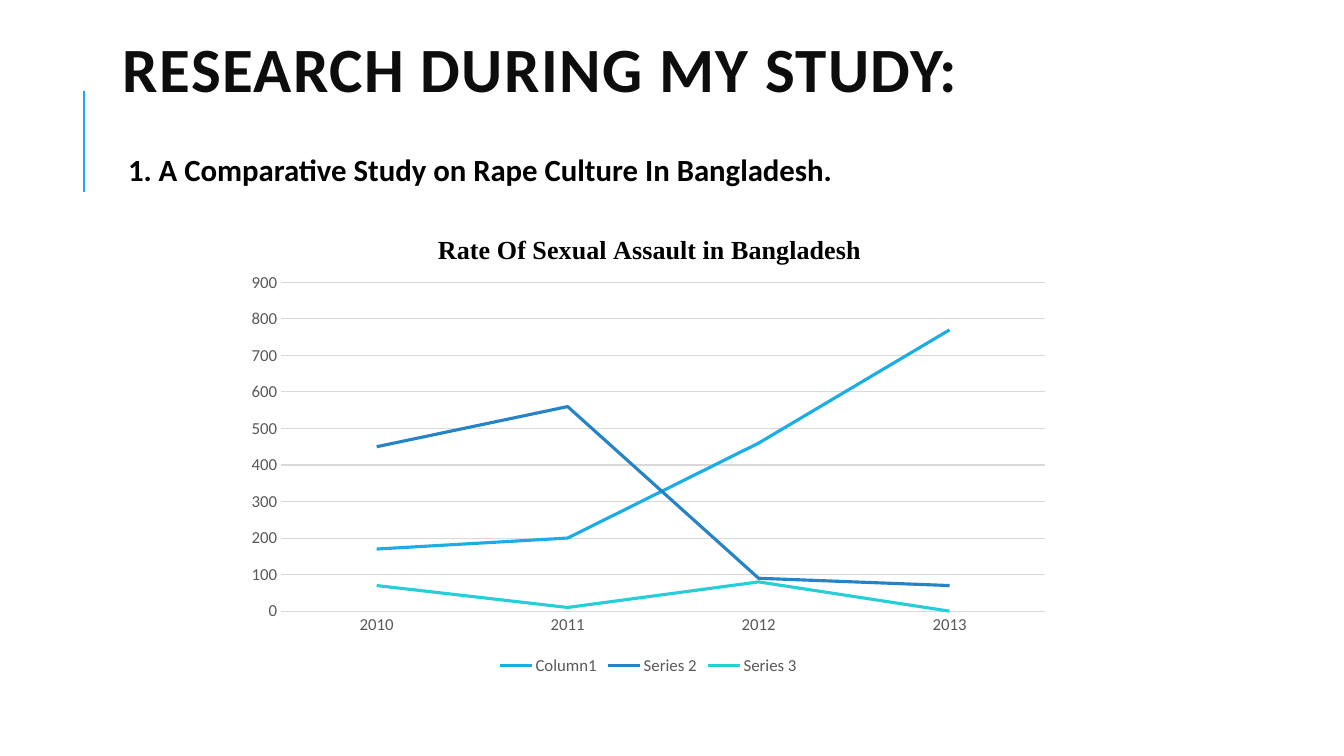
from lxml.etree import SubElement
from pptx import Presentation
from pptx.chart.data import CategoryChartData
from pptx.dml.color import RGBColor
from pptx.enum.chart import XL_CHART_TYPE as ChartType, XL_LEGEND_POSITION as LegendPos
from pptx.enum.chart import XL_MARKER_STYLE as Marker, XL_TICK_MARK as Tick
from pptx.enum.shapes import MSO_CONNECTOR as Connector
from pptx.enum.text import MSO_ANCHOR as Anchor
from pptx.oxml import parse_xml
from pptx.oxml.ns import nsdecls, qn
from pptx.util import Inches, Pt

COLORS = {"black": "000000", "heading": "0D0D0D", "label": "595959", "grid": "D9D9D9",
          "sky": "1CADE4", "blue": "2683C6", "teal": "27CED7"}
YEARS = ["2010", "2011", "2012", "2013"]
RATES = [("Column1", [170, 200, 460, 770], "sky"),
         ("Series 2", [450, 560, 90, 70], "blue"),
         ("Series 3", [70, 10, 80, 0], "teal")]


def rgb(color):
    return RGBColor.from_string(COLORS[color])


def style_font(font, size, color, bold=False, name="Calibri"):
    font.size, font.bold, font.name = Pt(size), bold, name
    font.color.rgb = rgb(color)


def write(paragraph, text, spacing=0, **style):
    run = paragraph.add_run()
    run.text = text
    style_font(run.font, **style)
    if spacing:
        run.font._element.set("spc", str(spacing * 100))


def style_line(line, color, width):
    line.color.rgb = rgb(color)
    line.width = Pt(width)


def layout_xml(target="", **fractions):
    inner = f'<c:layoutTarget val="{target}"/>' if target else ""
    modes = "".join(f'<c:{axis}Mode val="edge"/>' for axis in "xy")
    values = "".join(f'<c:{key} val="{value}"/>' for key, value in fractions.items())
    return parse_xml(f'<c:layout {nsdecls("c")}><c:manualLayout>{inner}{modes}{values}'
                     '</c:manualLayout></c:layout>')


def place(element, layout, before):
    for old in element.findall(qn("c:layout")):
        element.remove(old)
    element.find(qn(before)).addprevious(layout)


class StudySlide:
    def __init__(self, deck):
        self.slide = deck.slides.add_slide(deck.slide_layouts[6])

    def line(self, x1, y1, x2, y2, color, width):
        rule = self.slide.shapes.add_connector(
            Connector.STRAIGHT, *map(Inches, (x1, y1, x2, y2)))
        style_line(rule.line, color, width)
        SubElement(rule._element.spPr, qn("a:effectLst"))

    def text(self, box, text, insets, anchor=Anchor.TOP, leading=1.0, **style):
        frame = self.slide.shapes.add_textbox(*map(Inches, box)).text_frame
        frame.word_wrap = True
        frame.vertical_anchor = anchor
        (frame.margin_left, frame.margin_top,
         frame.margin_right, frame.margin_bottom) = map(Inches, insets)
        paragraph = frame.paragraphs[0]
        paragraph.line_spacing = leading
        write(paragraph, text, **style)

    def line_chart(self, box, title, categories, rows):
        data = CategoryChartData()
        data.categories = categories
        for name, values, _ in rows:
            data.add_series(name, values)
        chart = self.slide.shapes.add_chart(
            ChartType.LINE, *map(Inches, box), data).chart
        style_font(chart.font, 10, "black")

        # Title and plot area
        chart.has_title = True
        write(chart.chart_title.text_frame.paragraphs[0], title, size=18.6,
              color="black", bold=True, name="Times New Roman")
        place(chart.chart_title._element, layout_xml(x=0.24, y=0.04), "c:overlay")
        plot_area = chart._chartSpace.chart.plotArea
        place(plot_area, layout_xml("inner", x=0.056, y=0.155, w=0.924, h=0.7),
              "c:lineChart")

        # Axes
        for axis in (chart.category_axis, chart.value_axis):
            axis.major_tick_mark = axis.minor_tick_mark = Tick.NONE
            style_font(axis.tick_labels.font, 12, "label")
        style_line(chart.category_axis.format.line, "grid", 0.75)
        rate_axis = chart.value_axis
        rate_axis.format.line.fill.background()
        rate_axis.minimum_scale, rate_axis.maximum_scale = 0, 900
        rate_axis.major_unit = 100
        style_line(rate_axis.major_gridlines.format.line, "grid", 0.75)

        # Legend
        chart.has_legend = True
        chart.legend.position = LegendPos.BOTTOM
        chart.legend.include_in_layout = False
        style_font(chart.legend.font, 12, "label")

        # Series
        chart.plots[0].vary_by_categories = False
        for series, (_, _, color) in zip(chart.plots[0].series, rows):
            series.smooth = False
            series.marker.style = Marker.NONE
            style_line(series.format.line, color, 2.25)


def main():
    deck = Presentation()
    deck.slide_width, deck.slide_height = Inches(13.33), Inches(7.5)
    study = StudySlide(deck)

    # Accent rule
    study.line(0.83, 1.9, 0.83, 0.9, "sky", 1.5)

    # Heading, raised by its bottom inset
    study.text((1.12, 0.64, 10.63, 0.85), "RESEARCH DURING MY STUDY:",
               (0.1, 0, 0.1, 0.66), Anchor.MIDDLE, leading=0.8,
               size=45, color="heading", bold=True, spacing=1)

    # Study topic
    study.text((1.12, 1.49, 10.63, 5.25),
               "1. A Comparative Study on Rape Culture In Bangladesh.",
               (0.15, 0.05, 0.05, 0.05), leading=0.9,
               size=22, color="black", bold=True)

    # Yearly rates
    study.line_chart((2.33, 2.08, 8.2, 4.66), "Rate Of Sexual Assault in Bangladesh",
                     YEARS, RATES)
    deck.save("out.pptx")


if __name__ == "__main__":
    main()
